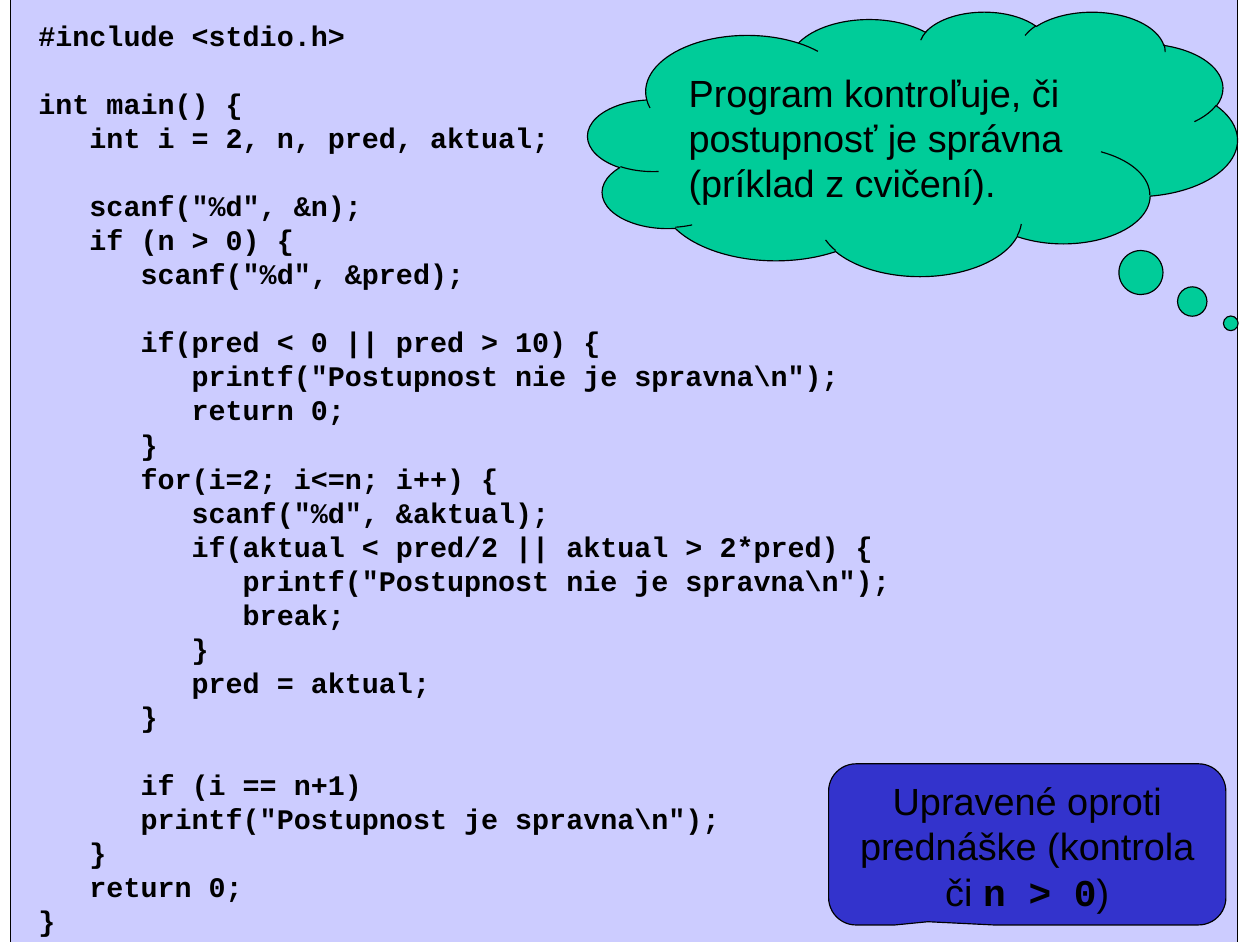
from pptx import Presentation
from pptx.dml.color import RGBColor
from pptx.enum.shapes import MSO_SHAPE
from pptx.enum.text import MSO_ANCHOR, PP_ALIGN
from pptx.util import Pt

PX = 9144  # EMU per px, 100 px to the inch
SLIDE_SIZE = (1110, 830)
BLANK_LAYOUT = 6
LINE_HEIGHT = 1.2

TEXT_FONT = ("Arial", False)
CODE_FONT = ("Courier New", True)

CODE = r"""#include <stdio.h>

int main() {
   int i = 2, n, pred, aktual;

   scanf("%d", &n);
   if (n > 0) {
      scanf("%d", &pred);

      if(pred < 0 || pred > 10) {
         printf("Postupnost nie je spravna\n");
         return 0;
      }
      for(i=2; i<=n; i++) {
         scanf("%d", &aktual);
         if(aktual < pred/2 || aktual > 2*pred) {
            printf("Postupnost nie je spravna\n");
            break;
         }
         pred = aktual;
      }

      if (i == n+1)
      printf("Postupnost je spravna\n");
   }
   return 0;
}"""
CODE_LINES = [[(line, CODE_FONT)] if line else [] for line in CODE.split("\n")]

PURPOSE_NOTE = [[
    ("Program kontroľuje, či postupnosť je správna (príklad z cvičení).", TEXT_FONT),
]]
CHANGE_NOTE = [[
    ("Upravené oproti prednáške (kontrola či ", TEXT_FONT),
    ("n > 0", CODE_FONT),
    (")", TEXT_FONT),
]]

PANEL_BOX = (9, -2, 1081, 834)
CODE_BOX = (24, 11, 770, 819)
PURPOSE_BOX = (518, 10, 572, 233)
CHANGE_BOX = (730, 673, 350, 142)


def color(value):
    return RGBColor.from_string(value)


def emu(box):
    return [length * PX for length in box]


def add_panel(slide, preset, box, fill, adjustments=()):
    shape = slide.shapes.add_shape(preset, *emu(box))
    shape.shadow.inherit = False
    shape.fill.solid()
    shape.fill.fore_color.rgb = color(fill)
    shape.line.color.rgb = color("000000")
    shape.line.width = Pt(0.75)
    for index, value in enumerate(adjustments):
        shape.adjustments[index] = value
    return shape


def write(shape, paragraphs, size, anchor=MSO_ANCHOR.TOP, align=PP_ALIGN.LEFT, wrap=True):
    """Fill a shape with paragraphs, each a list of (text, (font name, bold)) runs."""
    frame = shape.text_frame
    frame.word_wrap = wrap
    frame.vertical_anchor = anchor
    for index, runs in enumerate(paragraphs):
        paragraph = frame.add_paragraph() if index else frame.paragraphs[0]
        paragraph.alignment = align
        paragraph.line_spacing = Pt(size * LINE_HEIGHT)
        paragraph.font.size = Pt(size)
        for text, (name, bold) in runs:
            run = paragraph.add_run()
            run.text = text
            run.font.name = name
            run.font.size = Pt(size)
            run.font.bold = bold
            run.font.color.rgb = color("000000")


def main():
    presentation = Presentation()
    presentation.slide_width, presentation.slide_height = emu(SLIDE_SIZE)
    slide = presentation.slides.add_slide(presentation.slide_layouts[BLANK_LAYOUT])

    add_panel(slide, MSO_SHAPE.RECTANGLE, PANEL_BOX, "CCCCFF")
    code_text = slide.shapes.add_textbox(*emu(CODE_BOX))
    write(code_text, CODE_LINES, 18, wrap=False)

    cloud = add_panel(slide, MSO_SHAPE.CLOUD_CALLOUT, PURPOSE_BOX, "00CC99", (0.49, 0.68))
    write(cloud, PURPOSE_NOTE, 24, anchor=MSO_ANCHOR.MIDDLE)

    callout = add_panel(slide, MSO_SHAPE.ROUNDED_RECTANGULAR_CALLOUT, CHANGE_BOX,
                        "3333CC", (-0.25, 0.48, 0.17))
    write(callout, CHANGE_NOTE, 24, align=PP_ALIGN.CENTER)

    presentation.save("out.pptx")


if __name__ == "__main__":
    main()
